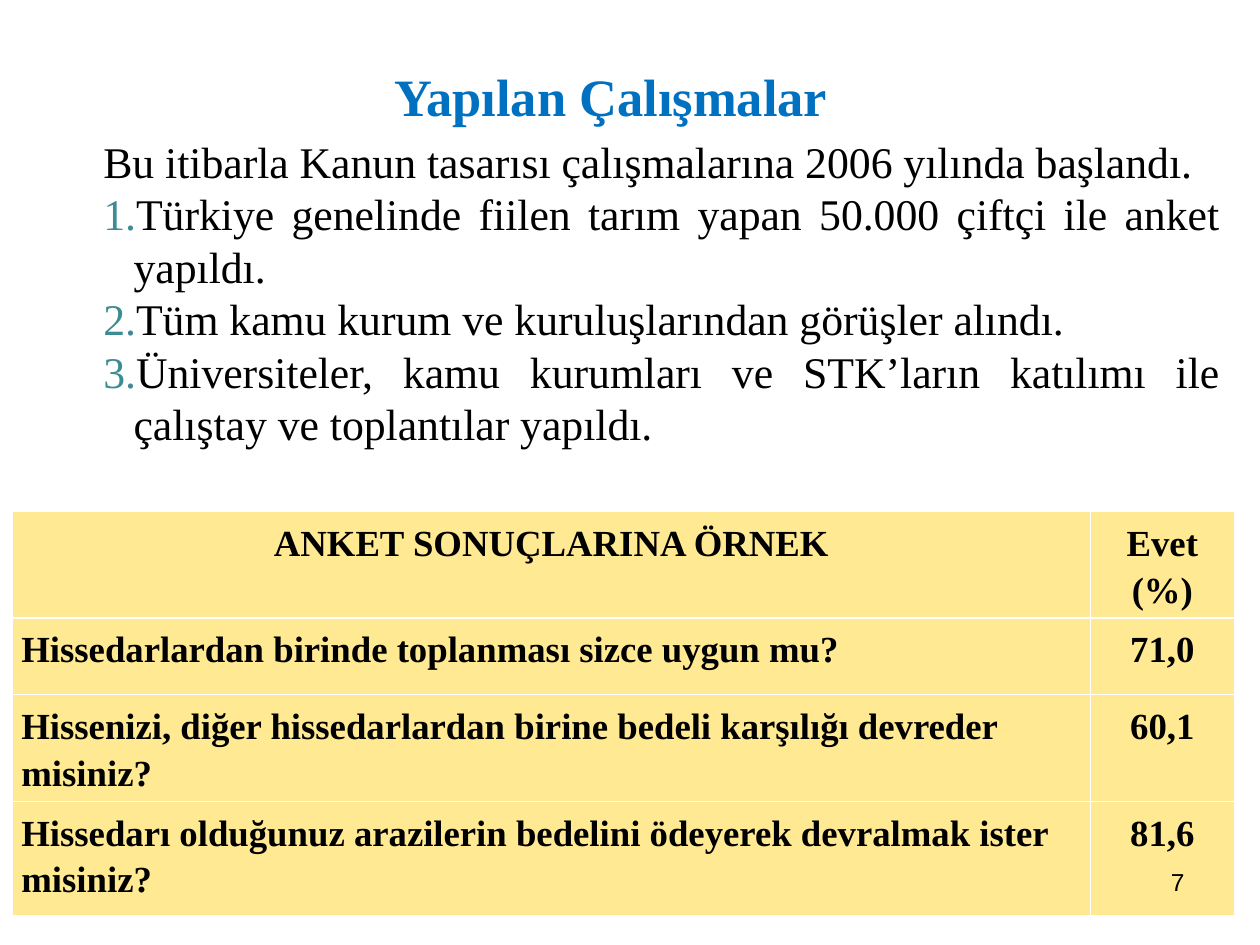
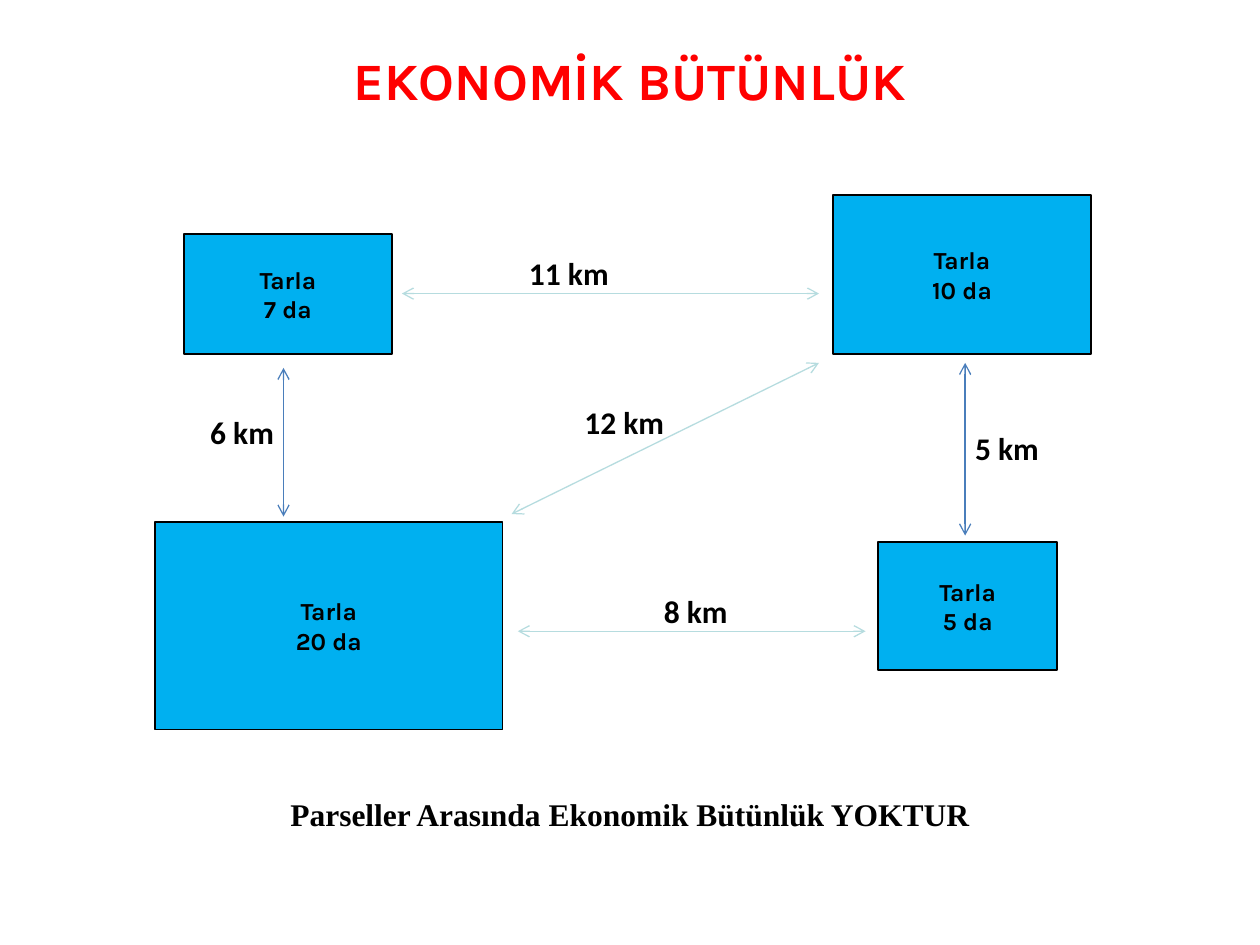
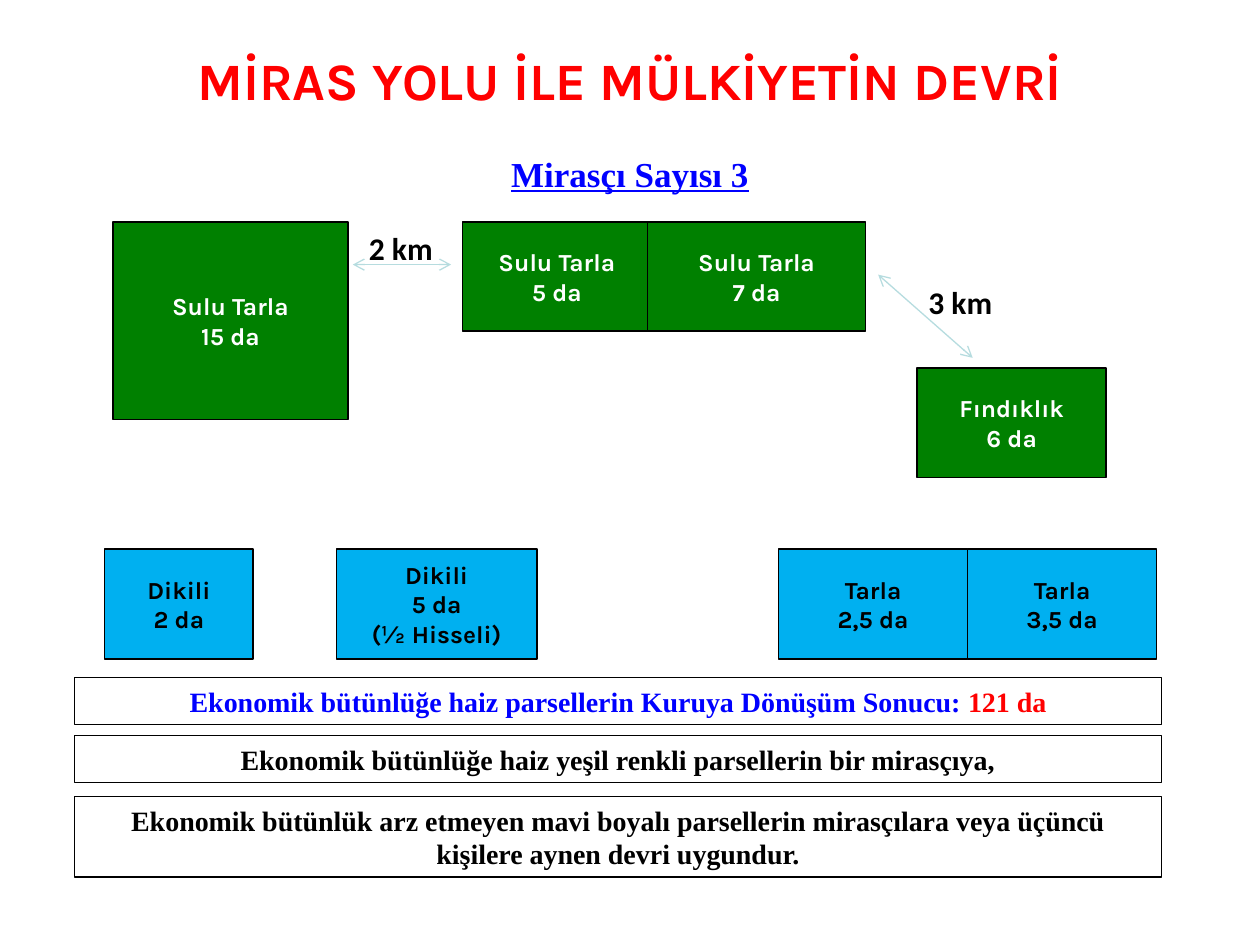
from lxml.etree import SubElement
from pptx import Presentation
from pptx.dml.color import RGBColor
from pptx.enum.shapes import MSO_CONNECTOR, MSO_SHAPE
from pptx.enum.text import MSO_ANCHOR, PP_ALIGN
from pptx.oxml.ns import qn
from pptx.util import Inches, Pt

BLACK, WHITE, RED = "000000", "FFFFFF", "FF0000"
BLUE, GREEN, SKY, SAND = "0000FF", "008000", "00B0F0", "FFEA93"
PALE, STEEL, TEAL = "B6DCDF", "4A7EBB", "3C8C93"
LEFT, MID, RIGHT, FULL = PP_ALIGN.LEFT, PP_ALIGN.CENTER, PP_ALIGN.RIGHT, PP_ALIGN.JUSTIFY
SERIF = "Times New Roman"


def rgb(code):
    """Turn a hex string into a colour."""
    return RGBColor.from_string(code)


def font(name, size, bold=True, **more):
    """Gather the format values of a text style."""
    return dict(name=name, size=Pt(size), bold=bold, **more)


class Deck:
    """Holds the shared style and the current slide."""

    title_font = font("Karla", 30)
    plot_font = font("Karla", 14)
    km_font = font("Calibri", 18)
    note_font = font(SERIF, 16)
    cell_font = font(SERIF, 21)
    list_font = font(SERIF, 25, False)

    def __init__(self):
        """Open an empty 10 by 7.5 inch deck."""
        self.show = Presentation()
        self.show.slide_width, self.show.slide_height = Inches(10), Inches(7.5)

    def page(self):
        """Start a blank slide."""
        self.slide = self.show.slides.add_slide(self.show.slide_layouts[6])

    def run(self, para, words, style, color):
        """Add one styled run."""
        run = para.add_run()
        run.text = words
        for key, val in style.items():
            setattr(run.font, key, val)
        run.font.color.rgb = rgb(color)

    def fill(self, frame, lines, style, color=BLACK, align=MID,
             pad=(0.1, 0.05), anchor=MSO_ANCHOR.TOP):
        """Write lines into a text frame and return the paragraphs."""
        side, edge = map(Inches, pad)
        form = dict(margin_left=side, margin_right=side, margin_top=edge,
                    margin_bottom=edge, vertical_anchor=anchor, word_wrap=True)
        for key, val in form.items():
            setattr(frame, key, val)
        for i, words in enumerate(lines):
            para = frame.add_paragraph() if i else frame.paragraphs[0]
            para.alignment = align
            self.run(para, words, style, color)
        return frame.paragraphs

    def text(self, spot, lines, style, **form):
        """Place a text box."""
        box = self.slide.shapes.add_textbox(*map(Inches, spot))
        return self.fill(box.text_frame, lines, style, **form)

    def title(self, words):
        """Place the red slide title."""
        self.text((0, 0.36, 10, 0.55), [words], self.title_font,
                  color=RED, anchor=MSO_ANCHOR.MIDDLE)

    def box(self, spot, lines, style, color=BLACK, back=None, width=1):
        """Place a framed rectangle with centred text."""
        rect = self.slide.shapes.add_shape(MSO_SHAPE.RECTANGLE, *map(Inches, spot))
        rect.shadow.inherit = False
        if back:
            rect.fill.solid()
            rect.fill.fore_color.rgb = rgb(back)
        else:
            rect.fill.background()
        rect.line.color.rgb = rgb(BLACK)
        rect.line.width = Pt(width)
        return self.fill(rect.text_frame, lines, style, color, anchor=MSO_ANCHOR.MIDDLE)

    def plot(self, spot, *lines, back=SKY):
        """Place a land parcel."""
        self.box(spot, lines, self.plot_font, WHITE if back == GREEN else BLACK, back)

    def note(self, top, high, words, color=BLACK):
        """Place a framed remark."""
        return self.box((0.59, top, 8.63, high), [words], self.note_font, color, width=0.75)

    def arrow(self, ends, color=PALE):
        """Draw a line with an arrowhead at both ends."""
        line = self.slide.shapes.add_connector(MSO_CONNECTOR.STRAIGHT, *map(Inches, ends))
        line.line.color.rgb = rgb(color)
        line.line.width = Pt(0.75)
        pen = line.line._get_or_add_ln()
        for tag in ("a:headEnd", "a:tailEnd"):
            SubElement(pen, qn(tag), type="arrow")
        SubElement(line._element.spPr, qn("a:effectLst"))

    def far(self, x, y, km):
        """Label a distance."""
        self.text((x, y, 1, 0.4), [f"{km} km"], self.km_font, align=LEFT)

    def steps(self, spot, lead, items):
        """Place a lead line above a numbered list."""
        paras = self.text(spot, [lead, *items], self.list_font, align=FULL, pad=(0.13, 0.06))
        for para in paras[1:]:
            props = para._p.get_or_add_pPr()
            props.set("marL", str(Inches(0.24)))
            props.set("indent", str(-Inches(0.24)))
            tint = SubElement(props, qn("a:buClr"))
            SubElement(tint, qn("a:srgbClr"), val=TEAL)
            SubElement(props, qn("a:buFont"), typeface=SERIF)
            SubElement(props, qn("a:buAutoNum"), type="arabicPeriod")

    def edge(self, cell, **widths):
        """Draw white cell borders."""
        props = cell._tc.get_or_add_tcPr()
        for side, width in widths.items():
            line = SubElement(props, qn(f"a:ln{side}"), w=str(Pt(width)))
            SubElement(SubElement(line, qn("a:solidFill")), qn("a:srgbClr"), val=WHITE)

    def table(self, spot, cols, highs, rows):
        """Place the survey table."""
        grid = self.slide.shapes.add_table(len(rows), len(cols), *map(Inches, spot)).table
        grid.first_row = grid.horz_banding = False
        for col, wide in zip(grid.columns, cols):
            col.width = Inches(wide)
        for r, (high, row) in enumerate(zip(highs, rows)):
            grid.rows[r].height = Inches(high)
            for c, words in enumerate(row):
                cell = grid.cell(r, c)
                self.edge(cell, L=0.45, R=0.45, T=1.47 if r == 1 else 0.45,
                          B=0.45 if r else 1.47)
                cell.fill.solid()
                cell.fill.fore_color.rgb = rgb(SAND)
                for key in ("margin_left", "margin_right"):
                    setattr(cell, key, Inches(0.07))
                para = cell.text_frame.paragraphs[0]
                para.alignment = LEFT if r and not c else MID
                para.line_spacing = 1.15
                self.run(para, words, self.cell_font, BLACK)


def survey(deck):
    """Build the slide on the work done."""
    deck.page()
    deck.table((0.1, 4.06, 9.7, 3.14), (8.55, 1.15), (0.81, 0.61, 0.81, 0.91), [
        ("ANKET SONUÇLARINA ÖRNEK", "Evet (%)"),
        ("Hissedarlardan birinde toplanması sizce uygun mu?", "71,0"),
        ("Hissenizi, diğer hissedarlardan birine bedeli karşılığı devreder misiniz?", "60,1"),
        ("Hissedarı olduğunuz arazilerin bedelini ödeyerek devralmak ister misiniz?", "81,6"),
    ])
    deck.text((1.37, 0.45, 6.96, 0.63), ["Yapılan Çalışmalar"], font(SERIF, 30),
              color="0070C0", pad=(0.13, 0.06))
    deck.steps((0.69, 1.01, 9.12, 2.63),
               "Bu itibarla Kanun tasarısı çalışmalarına 2006 yılında başlandı.", [
        "Türkiye genelinde fiilen tarım yapan 50.000 çiftçi ile anket yapıldı.",
        "Tüm kamu kurum ve kuruluşlarından görüşler alındı.",
        "Üniversiteler, kamu kurumları ve STK’ların katılımı ile çalıştay ve toplantılar yapıldı.",
    ])
    deck.text((7.17, 6.83, 2.33, 0.52), ["7"], font("Arial", 14, False), align=RIGHT)


def unity(deck):
    """Build the slide on economic unity."""
    deck.page()
    deck.title("EKONOMİK BÜTÜNLÜK")
    for spot, area in (((1.46, 1.86, 1.65, 0.95), 7), ((1.23, 4.14, 2.76, 1.65), 20),
                       ((6.61, 1.55, 2.05, 1.26), 10), ((6.97, 4.3, 1.42, 1.02), 5)):
        deck.plot(spot, "Tarla", f"{area} da")
    for ends, color, x, y, km in (
            ((3.19, 2.33, 6.5, 2.33), PALE, 4.1, 1.97, 11),
            ((4.11, 5.01, 6.87, 5.01), PALE, 5.17, 4.65, 8),
            ((7.66, 2.88, 7.66, 4.25), STEEL, 7.64, 3.36, 5),
            ((4.06, 4.08, 6.5, 2.88), PALE, 4.54, 3.15, 12),
            ((2.25, 2.92, 2.25, 4.1), STEEL, 1.57, 3.23, 6)):
        deck.arrow(ends, color)
        deck.far(x, y, km)
    deck.text((0, 6.26, 10, 0.4), ["Parseller Arasında Ekonomik Bütünlük YOKTUR"],
              font(SERIF, 18))


def heirs(deck):
    """Build the slide on passing land to heirs."""
    deck.page()
    deck.title("MİRAS YOLU İLE MÜLKİYETİN DEVRİ")
    deck.text((0, 1.16, 10, 0.44), ["Mirasçı Sayısı 3"],
              font(SERIF, 20, underline=True), color=BLUE)
    for spot, kind, area in (((0.9, 1.76, 1.86, 1.57), "Sulu Tarla", 15),
                             ((3.67, 1.76, 1.5, 0.87), "Sulu Tarla", 5),
                             ((5.14, 1.76, 1.73, 0.87), "Sulu Tarla", 7),
                             ((7.28, 2.92, 1.5, 0.87), "Fındıklık", 6)):
        deck.plot(spot, kind, f"{area} da", back=GREEN)
    for x, wide, *lines in ((0.83, 1.18, "Dikili", "2 da"),
                            (2.67, 1.59, "Dikili", "5 da", "(½ Hisseli)"),
                            (6.18, 1.5, "Tarla", "2,5 da"),
                            (7.68, 1.5, "Tarla", "3,5 da")):
        deck.plot((x, 4.36, wide, 0.87), *lines)
    deck.arrow((2.8, 2.1, 3.58, 2.1))
    deck.far(2.83, 1.77, 2)
    deck.arrow((6.97, 2.18, 7.72, 2.84))
    deck.far(7.27, 2.2, 3)
    paras = deck.note(5.38, 0.37,
                      "Ekonomik bütünlüğe haiz parsellerin Kuruya Dönüşüm Sonucu: ", BLUE)
    deck.run(paras[0], "121 da", deck.note_font, RED)
    deck.note(5.84, 0.37, "Ekonomik bütünlüğe haiz yeşil renkli parsellerin bir mirasçıya,")
    deck.note(6.32, 0.64, "Ekonomik bütünlük arz etmeyen mavi boyalı parsellerin mirasçılara "
                          "veya üçüncü kişilere aynen devri uygundur.")


def main():
    """Build and save the deck."""
    deck = Deck()
    for make in (survey, unity, heirs):
        make(deck)
    deck.show.save("out.pptx")


if __name__ == "__main__":
    main()
